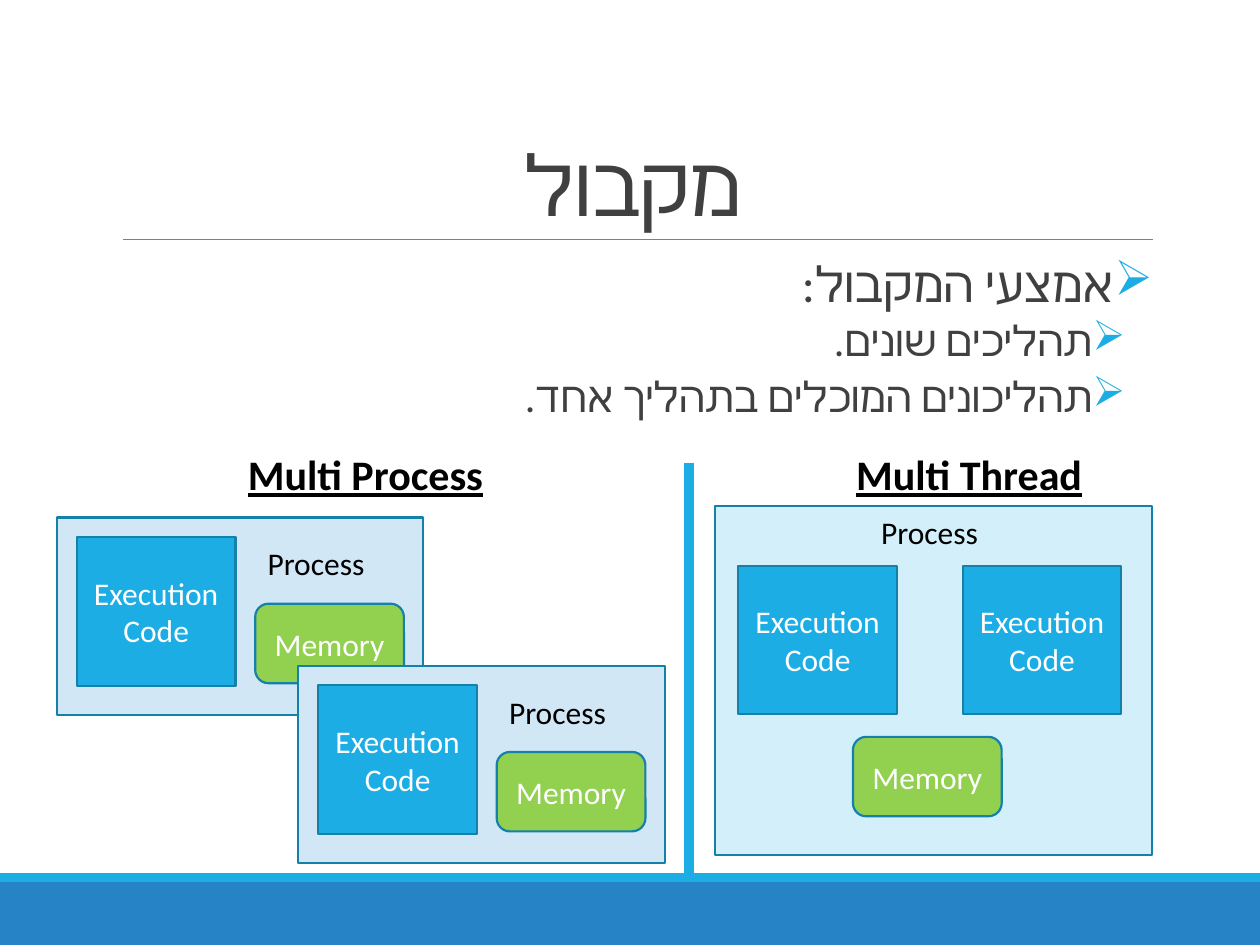
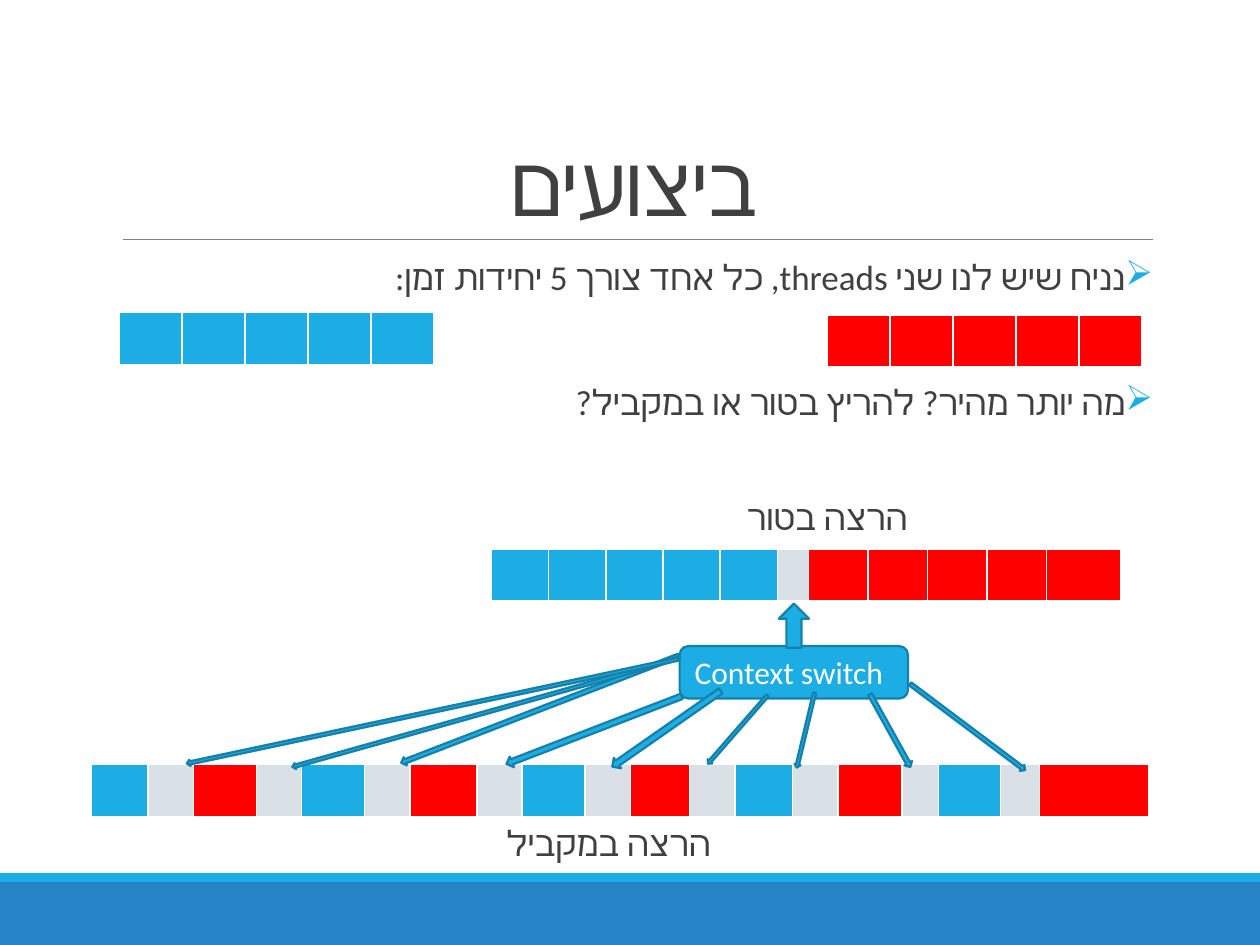
from itertools import cycle, islice

from lxml import etree
from pptx import Presentation
from pptx.dml.color import RGBColor
from pptx.enum.shapes import MSO_CONNECTOR, MSO_SHAPE
from pptx.enum.text import MSO_ANCHOR, PP_ALIGN
from pptx.oxml.ns import qn
from pptx.util import Pt

RECTANGLE = MSO_SHAPE.RECTANGLE
ROUNDED = MSO_SHAPE.ROUNDED_RECTANGLE
DOWN_ARROW = MSO_SHAPE.DOWN_ARROW
STRAIGHT = MSO_CONNECTOR.STRAIGHT
TOP, MIDDLE, BOTTOM = MSO_ANCHOR.TOP, MSO_ANCHOR.MIDDLE, MSO_ANCHOR.BOTTOM
LEFT, CENTER, RIGHT = PP_ALIGN.LEFT, PP_ALIGN.CENTER, PP_ALIGN.RIGHT

FONT = "Calibri"
COLORS = {
    "band": "2683C6",
    "accent": "1CADE4",
    "outline": "1580A9",
    "rule": "808080",
    "text": "404040",
    "black": "000000",
    "white": "FFFFFF",
    "memory": "92D050",
    "process": "D1E7F6",
    "threads": "D2EFFA",
    "red": "FF0000",
    "switch": "D9E0E6",
}
CODE_SIZE = (90.7, 85)
MEMORY_SIZE = (85, 45.4)
LABEL_SIZE = (89.3, 28.8)
ROW_HEIGHT = 29.5


def color(name):
    return RGBColor.from_string(COLORS[name])


def points(*values):
    return [Pt(value) for value in values]


def format_runs(paragraph, size, color_name, bold=False, underline=False, spacing=None):
    for run in paragraph.runs:
        font = run.font
        font.size = Pt(size)
        font.bold = bold
        font.underline = underline
        font.color.rgb = color(color_name)
        font.name = FONT
        properties = run.font._element
        etree.SubElement(properties, qn("a:cs")).set("typeface", FONT)
        if spacing is not None:
            properties.set("spc", str(int(spacing * 100)))


def add_shape(shapes, kind, box, fill, outline="outline", text="", align=CENTER):
    shape = shapes.add_shape(kind, *points(*box))
    shape.shadow.inherit = False
    shape.fill.solid()
    shape.fill.fore_color.rgb = color(fill)
    if outline:
        shape.line.color.rgb = color(outline)
        shape.line.width = Pt(1.25)
    else:
        shape.line.fill.background()
    if text:
        frame = shape.text_frame
        frame.text = text
        frame.word_wrap = True
        frame.vertical_anchor = MIDDLE
        paragraph = frame.paragraphs[0]
        paragraph.alignment = align
        format_runs(paragraph, 18, "white")
    return shape


def add_line(slide, start, end, color_name, width):
    line = slide.shapes.add_connector(STRAIGHT, *points(*start, *end))
    line.line.color.rgb = color(color_name)
    line.line.width = Pt(width)
    etree.SubElement(line._element.spPr, qn("a:effectLst"))


def add_frame(shapes, box, anchor=TOP, side_inset=7.2):
    frame = shapes.add_textbox(*points(*box)).text_frame
    frame.word_wrap = True
    frame.vertical_anchor = anchor
    frame.margin_left = frame.margin_right = Pt(side_inset)
    return frame


def add_label(shapes, box, text, size=18, **style):
    paragraph = add_frame(shapes, box).paragraphs[0]
    paragraph.text = text
    format_runs(paragraph, size, "black", **style)


def format_hebrew(paragraph, size, align, before, after):
    paragraph.alignment = align
    paragraph.line_spacing = 0.9
    paragraph.space_before = Pt(before)
    paragraph.space_after = Pt(after)
    properties = paragraph._p.get_or_add_pPr()
    properties.set("rtl", "1")
    format_runs(paragraph, size, "text")
    return properties


def add_bullets(slide, height, items):
    frame = add_frame(slide.shapes, (65, 145.4, 594, height), side_inset=0)
    for index, (text, size, level, before) in enumerate(items):
        paragraph = frame.add_paragraph() if index else frame.paragraphs[0]
        paragraph.text = text
        paragraph.level = level
        margin, hanging, after = ((7.2, 7.2, 2), (30.2, 14.4, 4))[level]
        properties = format_hebrew(paragraph, size, RIGHT, before, after)
        properties.set("marL", str(Pt(margin)))
        properties.set("marR", "0")
        properties.set("indent", str(-Pt(hanging)))
        bullet_color = etree.SubElement(properties, qn("a:buClr"))
        etree.SubElement(bullet_color, qn("a:srgbClr")).set("val", COLORS["accent"])
        etree.SubElement(properties, qn("a:buChar")).set("char", "➢")


def add_caption(slide, box, text):
    paragraph = add_frame(slide.shapes, box, side_inset=0).paragraphs[0]
    paragraph.text = text
    format_hebrew(paragraph, 20, CENTER, 12, 2)


def add_time_bar(slide, left, top, units):
    widths = [width for width, fill in units]
    box = points(left, top, sum(widths), ROW_HEIGHT)
    table = slide.shapes.add_table(1, len(units), *box).table
    table.horz_banding = False
    for index, (width, fill) in enumerate(units):
        table.columns[index].width = Pt(width)
        cell = table.cell(0, index)
        cell.fill.solid()
        cell.fill.fore_color.rgb = color(fill)


def add_code(shapes, left, top):
    add_shape(shapes, RECTANGLE, (left, top, *CODE_SIZE), "accent", text="Execution Code")


def add_memory(shapes, left, top):
    add_shape(shapes, ROUNDED, (left, top, *MEMORY_SIZE), "memory", text="Memory")


def add_process(slide, left, top):
    shapes = slide.shapes.add_group_shape().shapes
    add_shape(shapes, RECTANGLE, (left, top, 209.5, 113), "process")
    add_code(shapes, left + 11.5, top + 11.2)
    add_memory(shapes, left + 113.4, top + 49.3)
    add_label(shapes, (left + 113.4, top + 11.8, *LABEL_SIZE), "Process")


def add_thread_process(slide):
    shapes = slide.shapes.add_group_shape().shapes
    add_shape(shapes, RECTANGLE, (408.6, 289.2, 249.6, 199.4), "threads")
    for left in (421.9, 550.1):
        add_code(shapes, left, 323.2)
    add_memory(shapes, 487.4, 421.1)
    add_label(shapes, (496.4, 289.4, *LABEL_SIZE), "Process")


def add_slide(presentation, title):
    slide = presentation.slides.add_slide(presentation.slide_layouts[6])
    add_shape(slide.shapes, RECTANGLE, (0, 504, 720, 36), "band", None)
    add_shape(slide.shapes, RECTANGLE, (0, 499, 720, 5), "accent", None)
    add_line(slide, (70.4, 136.8), (658.8, 136.8), "rule", 0.5)
    paragraph = add_frame(slide.shapes, (65, 22.3, 594, 114.5), BOTTOM).paragraphs[0]
    paragraph.text = title
    paragraph.alignment = CENTER
    paragraph.line_spacing = 0.85
    format_runs(paragraph, 48, "text", spacing=-0.5)
    return slide


def build_parallelism(presentation):
    slide = add_slide(presentation, "מקבול")
    add_bullets(slide, 316.8, [
        ("אמצעי המקבול:", 28, 0, 12),
        ("תהליכים שונים.", 24, 1, 2),
        ("תהליכונים המוכלים בתהליך אחד.", 24, 1, 2),
    ])
    add_line(slide, (393.8, 264.4), (393.8, 502.6), "accent", 6)
    for left, top in ((32.4, 295.7), (170.4, 380.4)):
        add_process(slide, left, top)
    for left, text in ((134.6, "Multi Process"), (482.2, "Multi Thread")):
        add_label(slide.shapes, (left, 252.7, 153.4, 36), text, 24, bold=True, underline=True)
    add_thread_process(slide)


def build_performance(presentation):
    slide = add_slide(presentation, "ביצועים")
    add_bullets(slide, 114.5, [
        ("נניח שיש לנו שני threads, כל אחד צורך 5 יחידות זמן:", 20, 0, 12),
        ("מה יותר מהיר? להריץ בטור או במקביל?", 20, 0, 47.7),
    ])
    add_time_bar(slide, 67.9, 178.7, [(36, "accent")] * 5)
    add_time_bar(slide, 472.6, 180.2, [(36, "red")] * 5)

    add_caption(slide, (269.3, 282.2, 406.8, 73.4), "הרצה בטור")
    serial = [(32.7, "accent")] * 5 + [(17.7, "switch")]
    serial += [(34, "red")] * 4 + [(42.3, "red")]
    add_time_bar(slide, 280.8, 313.9, serial)

    widths = [32.4, 25.9, 36, 25.9, 36, 25.9, 38.2, 25.9, 36, 25.9,
              33.8, 25.9, 33.1, 25.9, 36.7, 20.9, 35.3, 22.3, 62.6]
    fills = islice(cycle(("accent", "switch", "red", "switch")), len(widths))
    add_time_bar(slide, 52.2, 437, list(zip(widths, fills)))
    add_caption(slide, (20.2, 468.7, 655.2, 33.8), "הרצה במקביל")

    add_shape(slide.shapes, ROUNDED, (388.4, 369.2, 130.5, 30), "accent",
              text="Context switch", align=LEFT)
    switch_arrows = [
        (445, 344.9, 17.3, 25.2, 180),
        (550.8, 374.4, 4.3, 82.1, 306.9),
        (506.2, 393.8, 5, 47.5, 331),
        (377.3, 378.7, 7.2, 75.6, 55.1),
        (458.6, 395.3, 3.6, 43.9, 13.4),
        (419.8, 391, 3.6, 51.8, 41.1),
        (336.2, 363.6, 6.5, 107.3, 68.9),
        (306, 320.4, 5, 169.9, 68.9),
        (275.8, 292.3, 3.6, 229.7, 74.3),
        (245.5, 262.8, 3.6, 287.3, 78),
    ]
    for *box, rotation in switch_arrows:
        add_shape(slide.shapes, DOWN_ARROW, box, "accent").rotation = rotation


def main():
    presentation = Presentation()
    presentation.slide_width, presentation.slide_height = points(720, 540)
    build_parallelism(presentation)
    build_performance(presentation)
    presentation.save("out.pptx")


main()
